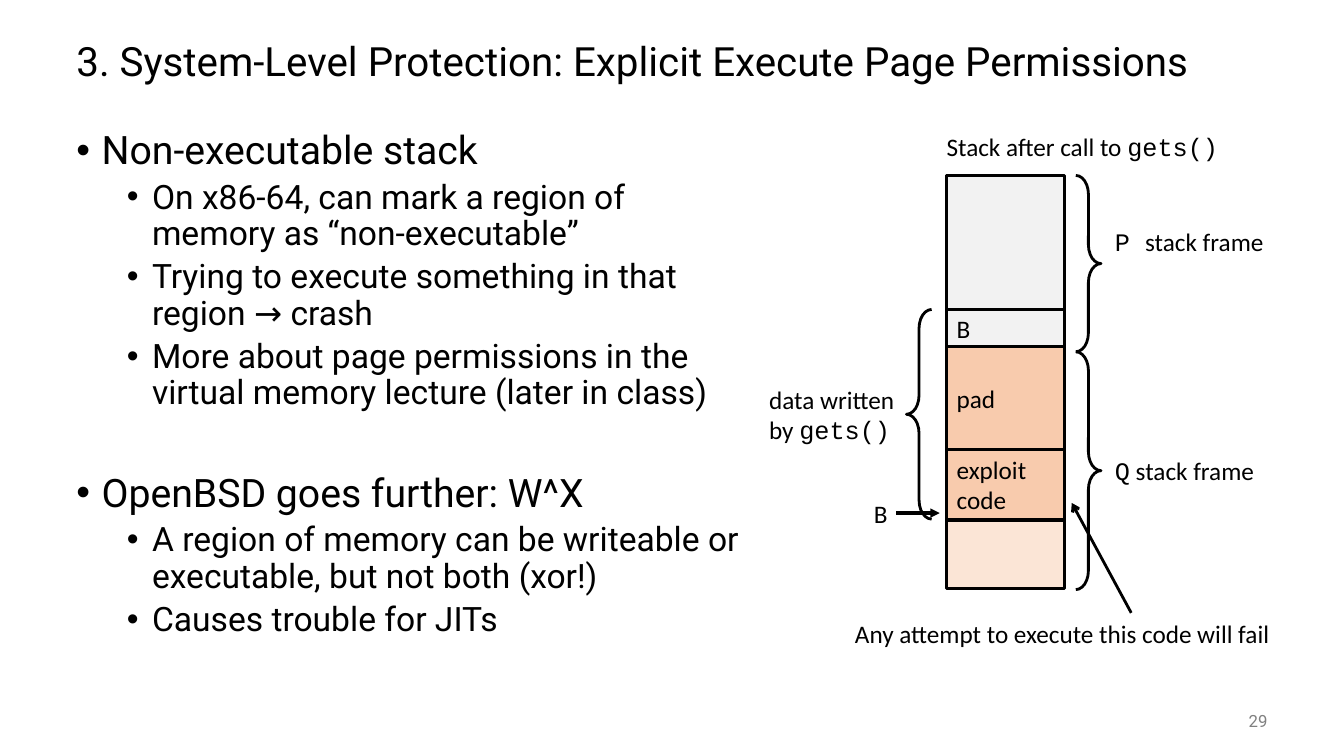
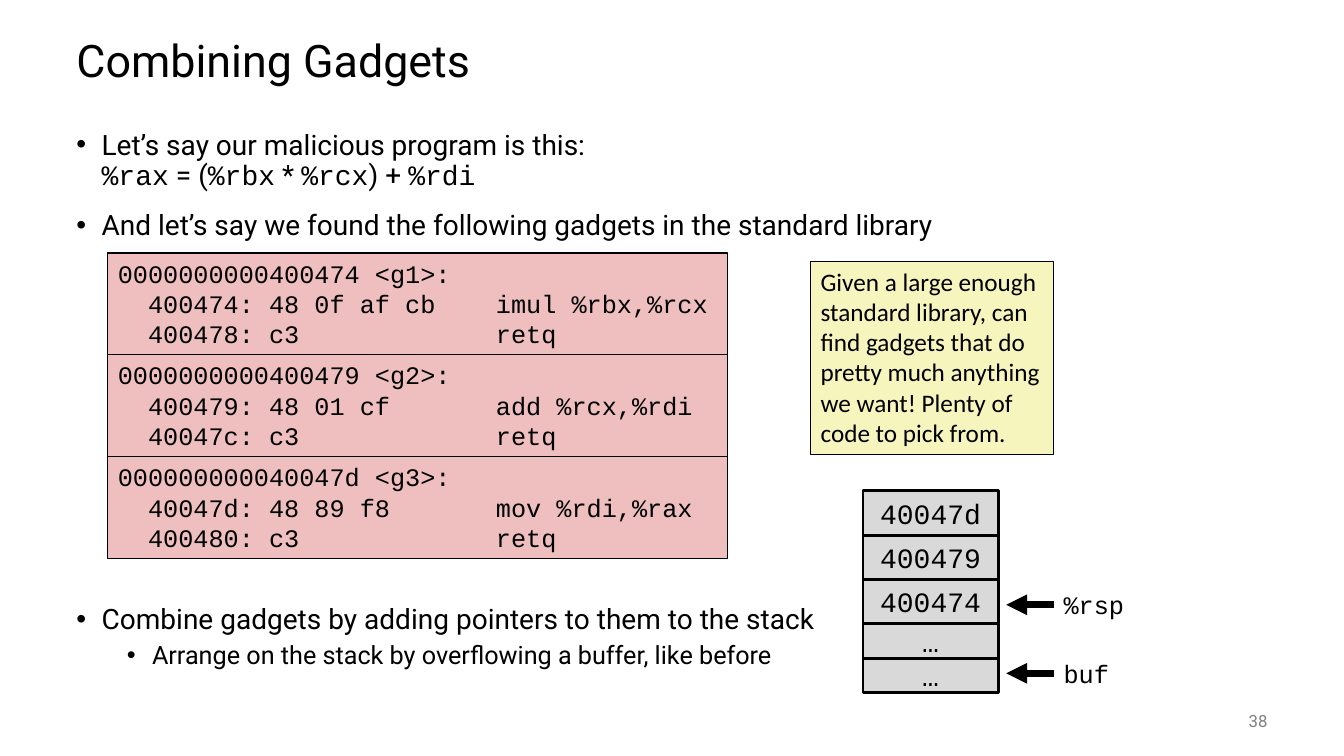
from dataclasses import dataclass
from itertools import accumulate
from typing import NamedTuple

from lxml.etree import SubElement
from pptx import Presentation
from pptx.dml.color import RGBColor
from pptx.enum.shapes import MSO_CONNECTOR as Connector, MSO_SHAPE as Preset
from pptx.enum.text import MSO_ANCHOR as Anchor, PP_ALIGN as Align
from pptx.oxml.ns import qn
from pptx.shapes.autoshape import Shape
from pptx.slide import Slide
from pptx.text.text import TextFrame
from pptx.util import Inches, Pt


@dataclass(frozen=True)
class Theme:
    # Fonts
    heading: str = "Roboto"
    label: str = "Calibri"
    mono: str = "Courier New"
    # Colours
    ink: str = "000000"
    footer: str = "808080"
    caller: str = "F2F2F2"
    written: str = "F8CBAD"
    callee: str = "FBE5D6"
    gadget: str = "EFBFBF"
    note: str = "F6F5BD"
    pointer: str = "D9D9D9"
    # Type sizes
    title_size: float = 32
    label_size: float = 18
    pointer_size: float = 20
    footer_size: float = 12
    # Line widths
    hairline: float = 0.75
    medium: float = 2
    strong: float = 2.25
    heavy: float = 5


THEME = Theme()


class Area(NamedTuple):
    left: float
    top: float
    width: float
    height: float


class Point(NamedTuple):
    x: float
    y: float


class Style(NamedTuple):
    """Text look; words between backticks are set in the mono font."""
    font: str = THEME.label
    size: float = THEME.label_size
    color: str = THEME.ink
    align: Align = Align.LEFT
    anchor: Anchor = Anchor.MIDDLE


class Bullet(NamedTuple):
    text: str
    size: float
    level: int = 0
    before: float = 14


class Segment(NamedTuple):
    text: str
    height: float
    fill: str


class Label(NamedTuple):
    text: str
    area: Area
    style: Style = Style()


class Brace(NamedTuple):
    preset: Preset
    area: Area


class Arrow(NamedTuple):
    start: Point
    end: Point
    width: float
    head: str = "triangle"


CODE = Style(font=THEME.mono, anchor=Anchor.TOP)
POINTER = Style(THEME.mono, THEME.pointer_size, align=Align.CENTER)


# Shared drawing functions
def inches(values: tuple) -> list:
    return [Inches(value) for value in values]


def fill_paragraph(para, text: str, style: Style) -> None:
    """Write one paragraph; a vertical tab breaks the line."""
    para.alignment = style.align
    for number, part in enumerate(text.split("`")):
        for row, words in enumerate(part.split("\v")):
            if row:
                para.add_line_break()
            if words:
                span = para.add_run()
                span.text = words
                span.font.name = THEME.mono if number % 2 else style.font
                span.font.size = Pt(style.size)
                span.font.color.rgb = RGBColor.from_string(style.color)


def write(frame: TextFrame, text: str, style: Style, wrap: bool = True) -> None:
    frame.word_wrap = wrap
    frame.vertical_anchor = style.anchor
    for index, line in enumerate(text.split("\n")):
        para = frame.add_paragraph() if index else frame.paragraphs[0]
        fill_paragraph(para, line, style)


def add_label(page: Slide, label: Label) -> TextFrame:
    box = page.shapes.add_textbox(*inches(label.area))
    write(box.text_frame, label.text, label.style)
    return box.text_frame


def add_outline(page: Slide, preset: Preset, area: Area, width: float) -> Shape:
    shape = page.shapes.add_shape(preset, *inches(area))
    shape.shadow.inherit = False
    shape.fill.background()
    shape.line.color.rgb = RGBColor.from_string(THEME.ink)
    shape.line.width = Pt(width)
    return shape


def add_panel(page: Slide, area: Area, fill: str, width: float, text: str,
              style: Style, wrap: bool = True) -> None:
    panel = add_outline(page, Preset.RECTANGLE, area, width)
    panel.fill.solid()
    panel.fill.fore_color.rgb = RGBColor.from_string(fill)
    if text:
        write(panel.text_frame, text, style, wrap)


def add_column(page: Slide, left: float, top: float, width: float,
               segments: list[Segment], line: float, style: Style) -> None:
    """Pile segments downwards without gaps."""
    tops = accumulate((segment.height for segment in segments), initial=top)
    for segment, segment_top in zip(segments, tops):
        area = Area(left, segment_top, width, segment.height)
        add_panel(page, area, segment.fill, line, segment.text, style)


def add_brace(page: Slide, brace: Brace) -> None:
    shape = add_outline(page, brace.preset, brace.area, THEME.medium)
    shape.adjustments[0] = 0.75
    shape.adjustments[1] = 0.5


def add_arrow(page: Slide, arrow: Arrow) -> None:
    line = page.shapes.add_connector(
        Connector.STRAIGHT, *inches(arrow.start + arrow.end))
    line.line.color.rgb = RGBColor.from_string(THEME.ink)
    line.line.width = Pt(arrow.width)
    SubElement(line.line._get_or_add_ln(), qn("a:tailEnd"), type=arrow.head)
    SubElement(line._element.spPr, qn("a:effectLst"))


def add_bullets(page: Slide, area: Area, bullets: list[Bullet]) -> None:
    frame = page.shapes.add_textbox(*inches(area)).text_frame
    frame.word_wrap = True
    for index, bullet in enumerate(bullets):
        para = frame.add_paragraph() if index else frame.paragraphs[0]
        props = para._p.get_or_add_pPr()
        props.set("marL", str(Inches(0.25 + 0.5 * bullet.level)))
        props.set("indent", str(Inches(-0.25)))
        SubElement(props, qn("a:buFont"), typeface="Arial")
        SubElement(props, qn("a:buChar"), char="•")
        para.level = bullet.level
        para.line_spacing = 0.9
        para.space_before = Pt(bullet.before if index else 0)
        fill_paragraph(para, bullet.text, Style(THEME.heading, bullet.size))


def add_page(deck, title: str, number: int,
             title_size: float = THEME.title_size) -> Slide:
    page = deck.slides.add_slide(deck.slide_layouts[6])
    heading = add_label(page, Label(title, Area(0.66, 0.25, 12, 0.75),
                                    Style(THEME.heading, title_size)))
    heading.paragraphs[0].line_spacing = 0.9
    add_label(page, Label(str(number), Area(11.67, 6.95, 1, 0.4),
                          Style(THEME.heading, THEME.footer_size,
                                THEME.footer, Align.RIGHT)))
    return page


# Slide: page permissions
def build_permissions(deck) -> None:
    page = add_page(
        deck, "3. System-Level Protection: Explicit Execute Page Permissions",
        29, 28.8)
    add_bullets(page, Area(0.66, 1.25, 6.86, 5.5), [
        Bullet("Non-executable stack", 28),
        Bullet("On x86-64, can mark a region of memory as “non-executable”",
               24, 1, 5),
        Bullet("Trying to execute something in that region → crash", 24, 1, 5),
        Bullet("More about page permissions in the virtual memory lecture "
               "(later in class)", 24, 1, 5),
        Bullet("OpenBSD goes further: W^X", 28, before=44),
        Bullet("A region of memory can be writeable or executable, "
               "but not both (xor!)", 24, 1, 5),
        Bullet("Causes trouble for JITs", 24, 1, 5),
    ])

    # Stack with its frames
    add_column(page, 9.39, 1.74, 1.17, [
        Segment("", 1.33, THEME.caller),
        Segment("B", 0.37, THEME.caller),
        Segment("pad", 1.02, THEME.written),
        Segment("exploit\ncode", 0.7, THEME.written),
        Segment("", 0.68, THEME.callee),
    ], THEME.strong, Style())
    for brace in (
        Brace(Preset.RIGHT_BRACE, Area(10.67, 1.74, 0.25, 1.75)),
        Brace(Preset.RIGHT_BRACE, Area(10.67, 3.49, 0.25, 2.36)),
        Brace(Preset.LEFT_BRACE, Area(8.99, 3.07, 0.25, 2.08)),
    ):
        add_brace(page, brace)

    # Labels and arrows
    for label in (
        Label("Stack after call to `gets()`", Area(9.29, 1.25, 3.1, 0.4)),
        Label("`P `stack frame", Area(10.96, 2.2, 1.8, 0.4)),
        Label("`Q` stack frame", Area(10.96, 4.47, 1.8, 0.4)),
        Label("B", Area(8.57, 4.89, 0.4, 0.4)),
        Label("data written\nby `gets()`", Area(7.53, 3.76, 1.5, 0.71)),
        Label("Any attempt to execute this code will fail",
              Area(8.19, 6.08, 4.5, 0.4), Style(align=Align.RIGHT)),
    ):
        add_label(page, label)
    add_arrow(page, Arrow(Point(8.89, 5.09), Point(9.32, 5.09), THEME.strong))
    add_arrow(page, Arrow(Point(11.22, 6.08), Point(10.63, 4.99),
                          THEME.medium, "arrow"))


# Slide: gadgets
def build_gadgets(deck) -> None:
    page = add_page(deck, "Combining Gadgets", 38)
    add_bullets(page, Area(0.66, 1.25, 12, 6), [
        Bullet("Let’s say our malicious program is this:\v"
               "`%rax` = (`%rbx` * `%rcx`) + `%rdi`", 20),
        Bullet("And let’s say we found the following gadgets "
               "in the standard library", 20),
        Bullet("Combine gadgets by adding pointers to them to the stack",
               20, before=260),
        Bullet("Arrange on the stack by overflowing a buffer, like before",
               18, 1, 5),
    ])

    # Gadget listings
    listings = (
        "0000000000400474 <g1>:\n"
        "  400474: 48 0f af cb    imul %rbx,%rcx\n"
        "  400478: c3             retq",
        "0000000000400479 <g2>:\n"
        "  400479: 48 01 cf       add %rcx,%rdi\n"
        "  40047c: c3             retq",
        "000000000040047d <g3>:\n"
        "  40047d: 48 89 f8       mov %rdi,%rax\n"
        "  400480: c3             retq",
    )
    add_column(page, 1.07, 2.51, 6.15,
               [Segment(code, 1.01, THEME.gadget) for code in listings],
               THEME.hairline, CODE)
    add_panel(page, Area(8.04, 2.59, 2.41, 1.92), THEME.note, THEME.hairline,
              "Given a large enough\vstandard library, can\v"
              "find gadgets that do\vpretty much anything\v"
              "we want! Plenty of\vcode to pick from.",
              Style(anchor=Anchor.TOP), wrap=False)

    # Stack of pointers
    rows = [("40047d", 0.44), ("400479", 0.44), ("400474", 0.44),
            ("…", 0.34), ("…", 0.34)]
    add_column(page, 8.56, 4.87, 1.34,
               [Segment(text, height, THEME.pointer) for text, height in rows],
               THEME.medium, POINTER)
    for name, y in (("%rsp", 6), ("buf", 6.68)):
        add_label(page, Label(name, Area(10.45, y - 0.2, 1.02, 0.4), CODE))
        add_arrow(page, Arrow(Point(10.45, y), Point(9.98, y), THEME.heavy))


def main() -> None:
    deck = Presentation()
    deck.slide_width, deck.slide_height = Inches(13.33), Inches(7.5)
    build_permissions(deck)
    build_gadgets(deck)
    deck.save("out.pptx")


if __name__ == "__main__":
    main()
